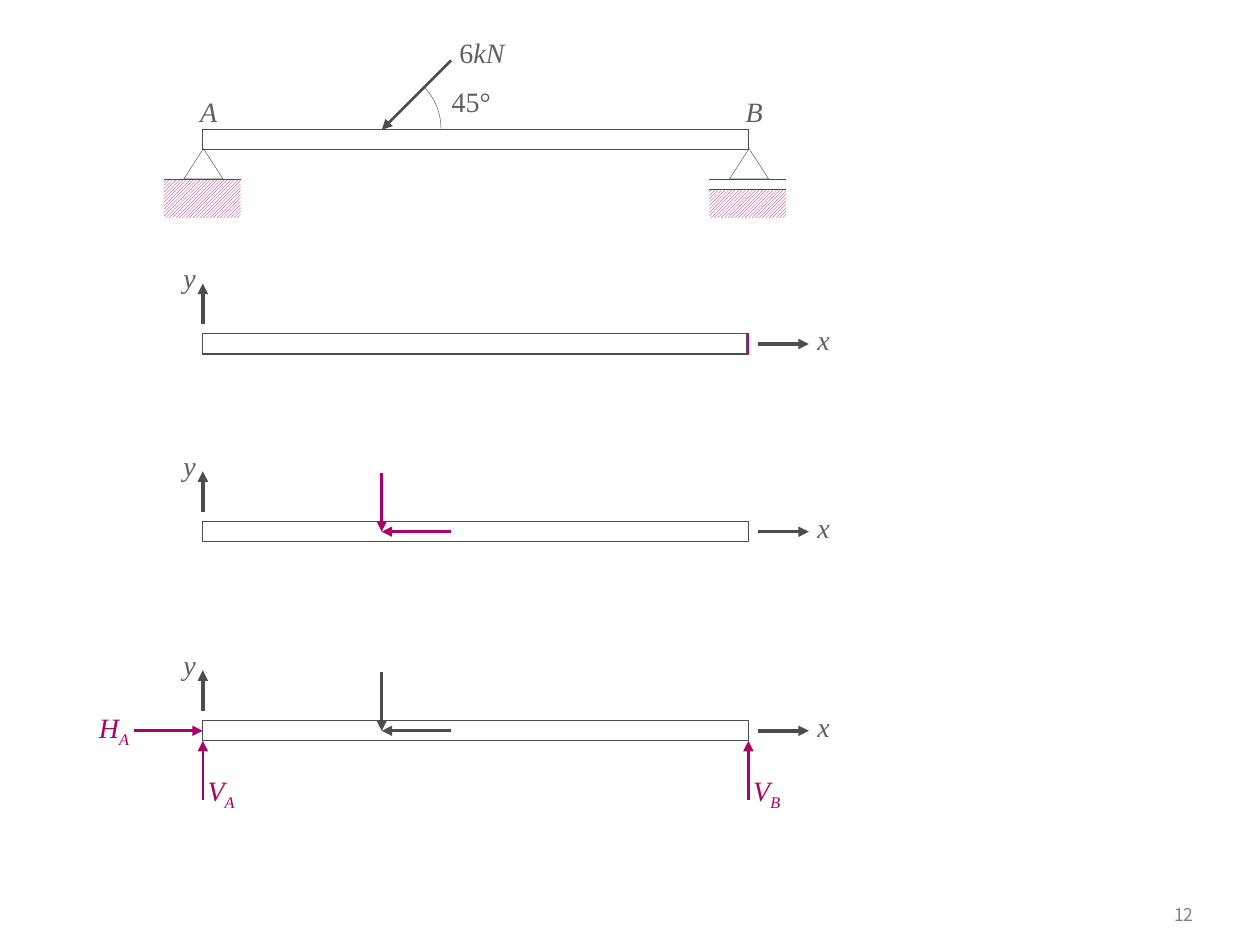
from lxml.etree import SubElement
from pptx import Presentation
from pptx.dml.color import RGBColor
from pptx.enum.dml import MSO_PATTERN as Pattern
from pptx.enum.shapes import MSO_CONNECTOR as Link, MSO_SHAPE as Shape
from pptx.enum.text import MSO_ANCHOR as Anchor, MSO_AUTO_SIZE as Size, PP_ALIGN as Align
from pptx.oxml.ns import qn
from pptx.util import Inches, Pt

DARK = RGBColor(0x4D, 0x4D, 0x4D)
GREY = RGBColor(0x5F, 0x5F, 0x5F)
PALE = RGBColor(0x80, 0x80, 0x80)
PLUM = RGBColor(0xA9, 0x01, 0x65)
WHITE = RGBColor(0xFF, 0xFF, 0xFF)

LEFT, RIGHT, LOAD = 1.61, 5.94, 3.03
DEPTH = 0.16
HAIR, THIN, FINE, BOLD = 0, 0.25, 0.75, 1.5


class Sketch:
    def __init__(self, slide):
        self.slide = slide
        self.font = "Times New Roman"
        self.size = Pt(16)

    def shape(self, kind, x, y, w, h, color=DARK, width=THIN):
        item = self.slide.shapes.add_shape(kind, Inches(x), Inches(y), Inches(w), Inches(h))
        item.shadow.inherit = False
        item.fill.background()
        item.line.color.rgb = color
        item.line.width = Pt(width)
        return item

    def line(self, start, end, color=DARK, width=THIN, arrow=False):
        ends = [Inches(v) for v in (*start, *end)]
        item = self.slide.shapes.add_connector(Link.STRAIGHT, *ends)
        item.line.color.rgb = color
        item.line.width = Pt(width)
        if arrow:
            SubElement(item.line._get_or_add_ln(), qn("a:tailEnd"), type="triangle")
        SubElement(item._element.spPr, qn("a:effectLst"))

    def arrow(self, start, end, color=DARK, width=BOLD):
        self.line(start, end, color, width, arrow=True)

    def box(self, x, y, w, h, align=Align.CENTER):
        frame = self.slide.shapes.add_textbox(
            Inches(x), Inches(y), Inches(w), Inches(h)).text_frame
        frame.word_wrap = True
        frame.paragraphs[0].alignment = align
        return frame

    def run(self, frame, text, color=GREY, italic=True):
        run = frame.paragraphs[0].add_run()
        run.text = text
        run.font.name = self.font
        run.font.size = self.size
        run.font.color.rgb = color
        run.font.italic = italic
        return run

    def label(self, x, y, w, text, sub="", color=GREY, upright=""):
        """Write a symbol, with an upright part before it and a subscript after it."""
        frame = self.box(x, y, w, 0.37)
        frame.auto_size = Size.SHAPE_TO_FIT_TEXT
        if upright:
            self.run(frame, upright, color, italic=False)
        if text:
            self.run(frame, text, color)
        if sub:
            low = self.run(frame, sub, color)
            low.font._element.set("baseline", "-25000")

    def beam(self, mid, color=DARK, trim=0):
        self.shape(Shape.RECTANGLE, LEFT, mid - DEPTH / 2, RIGHT - LEFT - trim,
                   DEPTH, color, FINE)

    def prop(self, x, top, gap=0):
        """Draw a support under the beam; a gap makes it a roller."""
        base, left, wide = top + 0.24, x - 0.31, 0.61
        ground = self.shape(Shape.RECTANGLE, left, base + gap, wide, 0.31 - gap)
        ground.line.fill.background()
        ground.fill.patterned()
        ground.fill.pattern = Pattern.LIGHT_UPWARD_DIAGONAL
        ground.fill.fore_color.rgb = PLUM
        ground.fill.back_color.rgb = WHITE
        for y in sorted({base, base + gap}):
            self.line((left, y), (left + wide, y))
        self.shape(Shape.ISOSCELES_TRIANGLE, x - 0.15, top, 0.31, 0.24)

    def axes(self, mid):
        self.arrow((LEFT, mid - 0.16), (LEFT, mid - 0.48), width=HAIR)
        self.arrow((6.02, mid), (6.42, mid), width=HAIR)
        self.label(6.34, mid - 0.22, 0.39, "x")
        self.label(1.31, mid - 0.71, 0.39, "y")

    def forces(self, mid, color):
        """Draw the two components of the load."""
        self.arrow((LOAD + 0.55, mid), (LOAD, mid), color)
        self.arrow((LOAD, mid - 0.47), (LOAD, mid), color)

    def number(self, text):
        frame = self.box(8.86, 7.09, 0.71, 0.33, Align.RIGHT)
        frame.vertical_anchor = Anchor.MIDDLE
        run = self.run(frame, text, PALE, italic=False)
        run.font.name = "Noto Sans CJK KR"
        run.font.size = Pt(10)
        face = SubElement(run.font._element, qn("a:ea"))
        face.set("typeface", run.font.name)


def loaded(art):
    """Draw the beam on its supports with the slanted load."""
    top = 1.03
    art.prop(RIGHT, top + 0.15, gap=0.08)
    art.prop(LEFT, top + 0.15)
    art.beam(top + DEPTH / 2)
    art.arrow((LOAD + 0.55, top - 0.55), (LOAD, top))
    arc = art.shape(Shape.ARC, 2.56, 0.55, 0.94, 0.94)
    arc.adjustments[0] = 189  # 315 degrees
    arc.adjustments[1] = 0
    for name, x in (("A", 1.38), ("B", 5.71)):
        art.label(x, 0.7, 0.55, name)
    art.label(3.43, 0.23, 0.79, "kN", upright="6")
    art.label(3.27, 0.62, 0.94, "", upright="45°")


def solved(art, mid):
    """Draw the free body with the support reactions."""
    art.beam(mid)
    art.forces(mid, DARK)
    art.axes(mid)
    for name, x in (("A", LEFT), ("B", RIGHT)):
        art.arrow((x, mid + 0.55), (x, mid + 0.08), PLUM)
        art.label(x - 0.13, mid + 0.29, 0.55, "V", name, PLUM)
    art.arrow((1.06, mid), (LEFT, mid), PLUM)
    art.label(0.59, mid - 0.21, 0.63, "H", "A", PLUM)


def main():
    deck = Presentation()
    deck.slide_width, deck.slide_height = Inches(10), Inches(7.5)
    art = Sketch(deck.slides.add_slide(deck.slide_layouts[6]))
    art.number("12")
    loaded(art)
    art.beam(2.73, PLUM)
    art.beam(2.73, trim=0.01)
    art.axes(2.73)
    art.beam(4.22)
    art.forces(4.22, PLUM)
    art.axes(4.22)
    solved(art, 5.8)
    deck.save("out.pptx")


if __name__ == "__main__":
    main()
